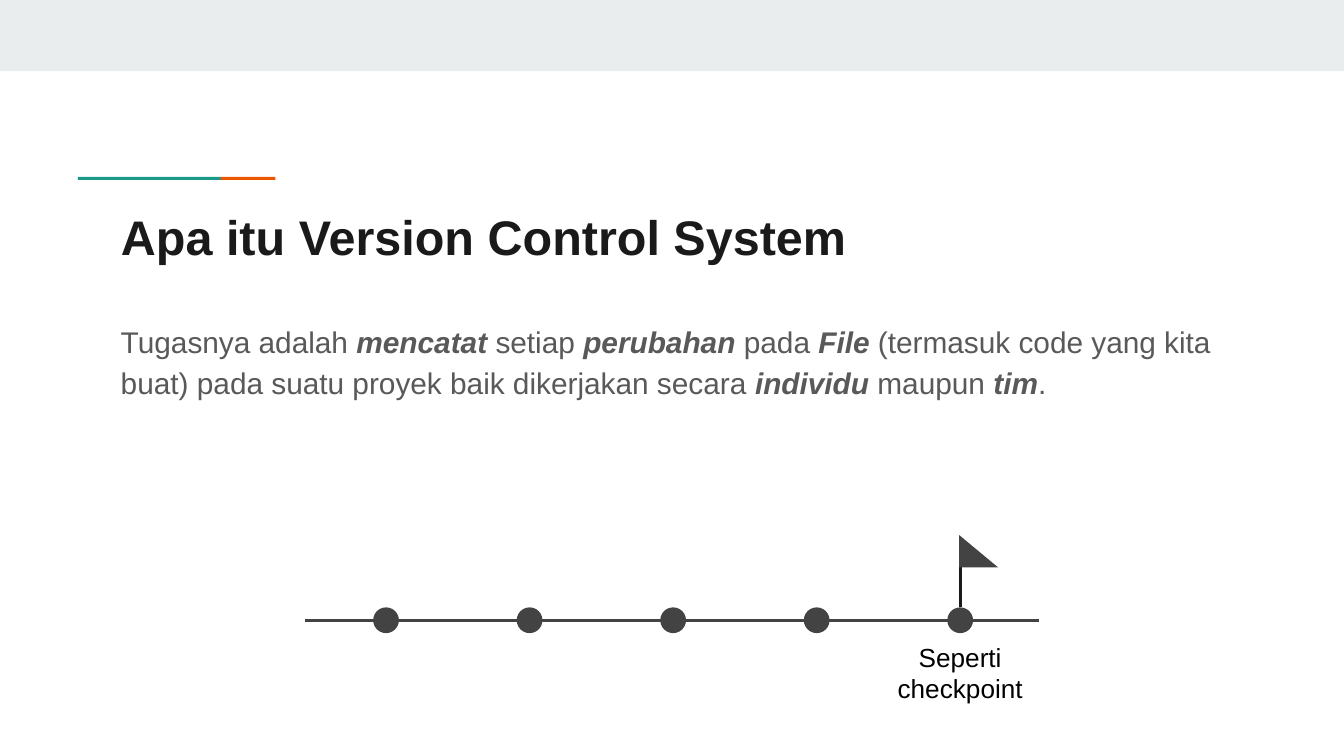
from pptx import Presentation
from pptx.dml.color import RGBColor
from pptx.enum.shapes import MSO_CONNECTOR, MSO_SHAPE
from pptx.enum.text import MSO_ANCHOR, PP_ALIGN
from pptx.oxml.ns import qn
from pptx.util import Pt
from lxml import etree

FONT = "Arial"
DARK, INK, GREY, BLACK = "434343", "1A1A1A", "595959", "000000"
TEAL, ORANGE, BAND = "1A9988", "EB5600", "E9EDEE"


def color(value):
    return RGBColor.from_string(value)


def add_filled(s, kind, box, fill):
    shape = s.shapes.add_shape(kind, *map(Pt, box))
    shape.shadow.inherit = False
    shape.fill.solid()
    shape.fill.fore_color.rgb = color(fill)
    shape.line.fill.background()
    return shape


def add_line(s, start, end, stroke):
    line = s.shapes.add_connector(MSO_CONNECTOR.STRAIGHT, *map(Pt, (*start, *end)))
    line.line.color.rgb = color(stroke)
    line.line.width = Pt(1.5)
    etree.SubElement(line._element.spPr, qn("a:effectLst"))


def set_frame(tf, anchor):
    values = {"word_wrap": True, "vertical_anchor": anchor}
    values |= {f"margin_{side}": Pt(7.2) for side in ("left", "top", "right", "bottom")}
    for name, value in values.items():
        setattr(tf, name, value)


def add_run(p, text, size, fill, bold=False, italic=False):
    r = p.add_run()
    r.text = text
    values = {"name": FONT, "size": Pt(size), "bold": bold, "italic": italic}
    for name, value in values.items():
        setattr(r.font, name, value)
    r.font.color.rgb = color(fill)


def add_header(s, width):
    """Top band and the two-colour accent rule."""
    add_filled(s, MSO_SHAPE.RECTANGLE, (0, 0, width, 38.2), BAND)
    add_filled(s, MSO_SHAPE.RECTANGLE, (41.8, 94.8, 76.6, 1.6), TEAL)
    add_filled(s, MSO_SHAPE.RECTANGLE, (118.4, 94.8, 29.2, 1.6), ORANGE)


def set_title(s, box, text):
    title = s.shapes.title
    for name, value in zip(("left", "top", "width", "height"), box):
        setattr(title, name, Pt(value))
    set_frame(title.text_frame, MSO_ANCHOR.TOP)
    p = title.text_frame.paragraphs[0]
    p.alignment = PP_ALIGN.LEFT
    add_run(p, text, 26, INK, bold=True)


def add_body(s, box, parts):
    """Paragraph in which every second part is bold italic."""
    tf = s.shapes.add_textbox(*map(Pt, box)).text_frame
    set_frame(tf, MSO_ANCHOR.TOP)
    p = tf.paragraphs[0]
    p.line_spacing = 1.15
    p.space_after = Pt(16)
    for i, text in enumerate(parts):
        strong = i % 2 == 1
        add_run(p, text, 16, GREY, bold=strong, italic=strong)


def add_timeline(s, box, count, label):
    """Line with evenly spaced dots, a flag and a label at the last dot."""
    left, top, width, height = box
    dot, step, first = 13.8, 76.9, 43.4
    y = top + height - dot / 2
    add_line(s, (left, y), (left + width, y), DARK)
    for i in range(count):
        x = left + first + i * step
        add_filled(s, MSO_SHAPE.OVAL, (x - dot / 2, y - dot / 2, dot, dot), DARK)
    add_line(s, (x, top + 4.2), (x, y - dot / 2), INK)
    add_filled(s, MSO_SHAPE.RIGHT_TRIANGLE, (x - 0.5, top, 20.8, 17.3), DARK)

    tf = s.shapes.add_textbox(*map(Pt, (x - 47.5, y + 19.5, 95, 17.3))).text_frame
    set_frame(tf, MSO_ANCHOR.MIDDLE)
    for i, text in enumerate(label):
        p = tf.add_paragraph() if i else tf.paragraphs[0]
        p.alignment = PP_ALIGN.CENTER
        add_run(p, text, 14, BLACK)


def main():
    prs = Presentation()
    prs.slide_width, prs.slide_height = Pt(720), Pt(405)
    s = prs.slides.add_slide(prs.slide_layouts[5])
    add_header(s, 720)
    set_title(s, (57.6, 103.7, 605.5, 42.5), "Apa itu Version Control System")
    add_body(s, (57.6, 163.4, 605.5, 61.2), (
        "Tugasnya adalah ", "mencatat", " setiap ", "perubahan", " pada ", "File",
        " (termasuk code yang kita buat) pada suatu proyek baik dikerjakan secara ",
        "individu", " maupun ", "tim", "."))
    add_timeline(s, (163.4, 286.7, 393.2, 52.5), 5, ("Seperti", "checkpoint"))
    prs.save("out.pptx")


if __name__ == "__main__":
    main()
